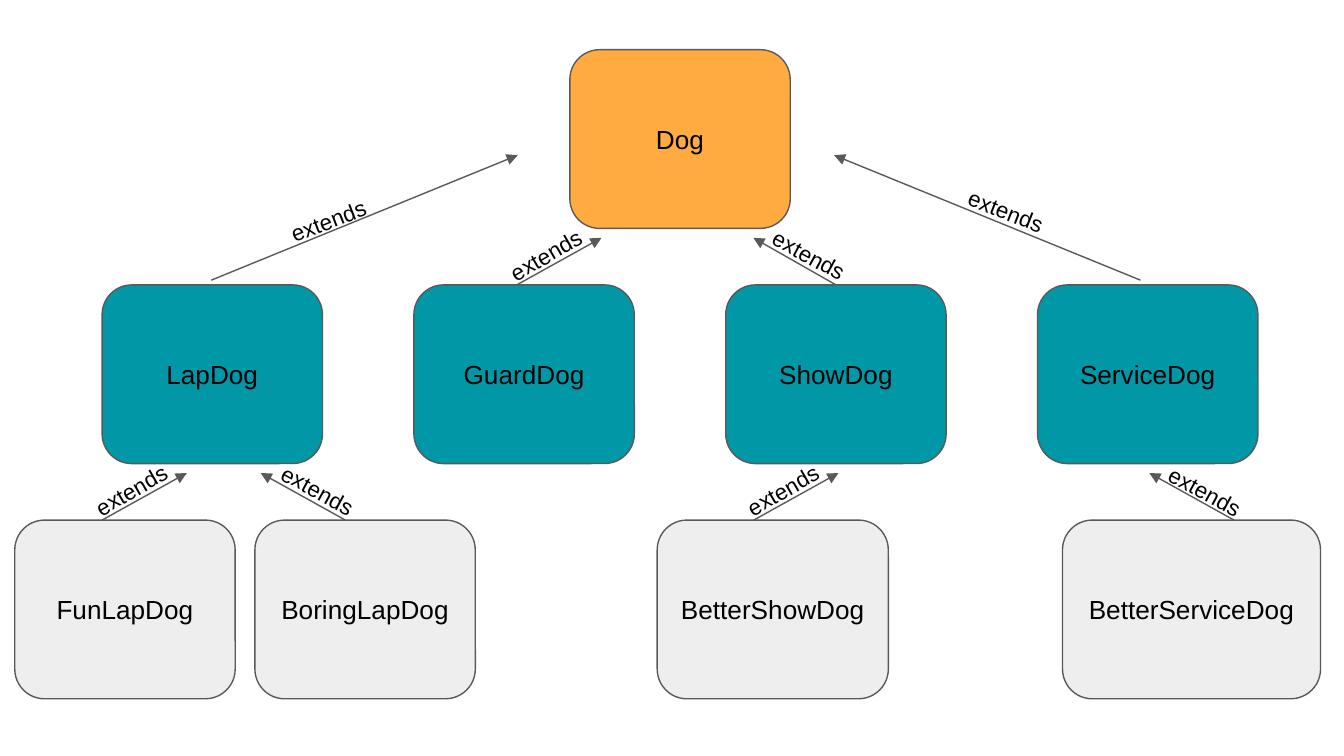
import math
import lxml.etree
import pptx
import pptx.dml.color
import pptx.enum.shapes
import pptx.enum.text
import pptx.oxml.ns
import pptx.util

COLORS = {"base": "FFAB40", "breed": "0097A7", "special": "EEEEEE",
          "outline": "595959", "text": "000000"}
SLIDE_WIDTH = 10
SLIDE_HEIGHT = SLIDE_WIDTH * 9 / 16
LEFT, TOP = 0.76, 0.37
COLUMN, ROW = 2.32, 1.75
BOX_WIDTH, BOX_HEIGHT = 1.64, 1.33
LABEL_WIDTH, LABEL_HEIGHT = 1.34, 0.4

inches = pptx.util.Inches
qn = pptx.oxml.ns.qn


def rgb(name):
    return pptx.dml.color.RGBColor.from_string(COLORS[name])


def write(holder, text, size=14, anchor="MIDDLE", color="text", font="Arial"):
    frame = holder.text_frame
    frame.word_wrap = True
    frame.vertical_anchor = getattr(pptx.enum.text.MSO_ANCHOR, anchor)
    frame.margin_left = frame.margin_right = inches(0.1)
    frame.margin_top = frame.margin_bottom = inches(0.1)
    paragraph = frame.paragraphs[0]
    paragraph.alignment = pptx.enum.text.PP_ALIGN.CENTER
    run = paragraph.add_run()
    run.text = text
    run.font.name = font
    run.font.size = pptx.util.Pt(size)
    run.font.color.rgb = rgb(color)


deck = pptx.Presentation()
deck.slide_width, deck.slide_height = inches(SLIDE_WIDTH), inches(SLIDE_HEIGHT)
slide = deck.slides.add_slide(deck.slide_layouts[6])

classes = [
    ("Dog", 1.5, 0, BOX_WIDTH, "base"),
    ("LapDog", 0, 1, BOX_WIDTH, "breed"),
    ("GuardDog", 1, 1, BOX_WIDTH, "breed"),
    ("ShowDog", 2, 1, BOX_WIDTH, "breed"),
    ("ServiceDog", 3, 1, BOX_WIDTH, "breed"),
    ("FunLapDog", -0.28, 2, BOX_WIDTH, "special"),
    ("BoringLapDog", 0.49, 2, BOX_WIDTH, "special"),
    ("BetterShowDog", 1.78, 2, 1.72, "special"),
    ("BetterServiceDog", 3.08, 2, 1.92, "special"),
]
boxes = {}
for title, column, row, width, level in classes:
    box = slide.shapes.add_shape(
        pptx.enum.shapes.MSO_SHAPE.ROUNDED_RECTANGLE,
        inches(LEFT + column * COLUMN), inches(TOP + row * ROW),
        inches(width), inches(BOX_HEIGHT))
    box.shadow.inherit = False
    box.fill.solid()
    box.fill.fore_color.rgb = rgb(level)
    box.line.color.rgb = rgb("outline")
    box.line.width = pptx.util.Pt(0.75)
    write(box, title)
    boxes[title] = box

SHORT, LONG = (0.63, 0.35), (2.28, 0.93)
inheritances = [
    ("LapDog", 0.35, 0.98, 1, LONG, -21.2, (-0.27, 0.02)),
    ("GuardDog", 1.33, 1, 1, SHORT, -30, (-0.1, -0.05)),
    ("ShowDog", 2.36, 1, -1, SHORT, 28.5, (0.1, -0.05)),
    ("ServiceDog", 3.33, 0.98, -1, LONG, 21.4, (0.14, -0.05)),
    ("FunLapDog", 0, 2, 1, SHORT, -30, (-0.1, -0.05)),
    ("BoringLapDog", 0.78, 2, -1, SHORT, 28.5, (0.11, -0.05)),
    ("BetterShowDog", 2.09, 2, 1, SHORT, -30, (-0.1, -0.05)),
    ("BetterServiceDog", 3.63, 2, -1, SHORT, 28.5, (0.1, -0.04)),
]
for child, column, row, direction, (run_x, rise), angle, (shift_x, shift_y) in inheritances:
    start_x, start_y = LEFT + column * COLUMN, TOP + row * ROW
    end_x, end_y = start_x + direction * run_x, start_y - rise
    arrow = slide.shapes.add_connector(
        pptx.enum.shapes.MSO_CONNECTOR.STRAIGHT,
        inches(start_x), inches(start_y), inches(end_x), inches(end_y))
    if child == "ShowDog":
        arrow.begin_connect(boxes[child], 0)
    arrow.line.color.rgb = rgb("outline")
    arrow.line.width = pptx.util.Pt(0.75)
    properties = arrow.element.spPr
    lxml.etree.SubElement(properties.find(qn("a:ln")), qn("a:tailEnd"), type="triangle")
    lxml.etree.SubElement(properties, qn("a:effectLst"))

    label = slide.shapes.add_textbox(
        inches((start_x + end_x - LABEL_WIDTH) / 2 + shift_x),
        inches((start_y + end_y - LABEL_HEIGHT) / 2 + shift_y),
        inches(LABEL_WIDTH), inches(LABEL_HEIGHT))
    label.rotation = math.fmod(angle + 360, 360)
    write(label, "extends", size=12, anchor="TOP")
    label.text_frame.auto_size = pptx.enum.text.MSO_AUTO_SIZE.SHAPE_TO_FIT_TEXT

deck.save("out.pptx")
